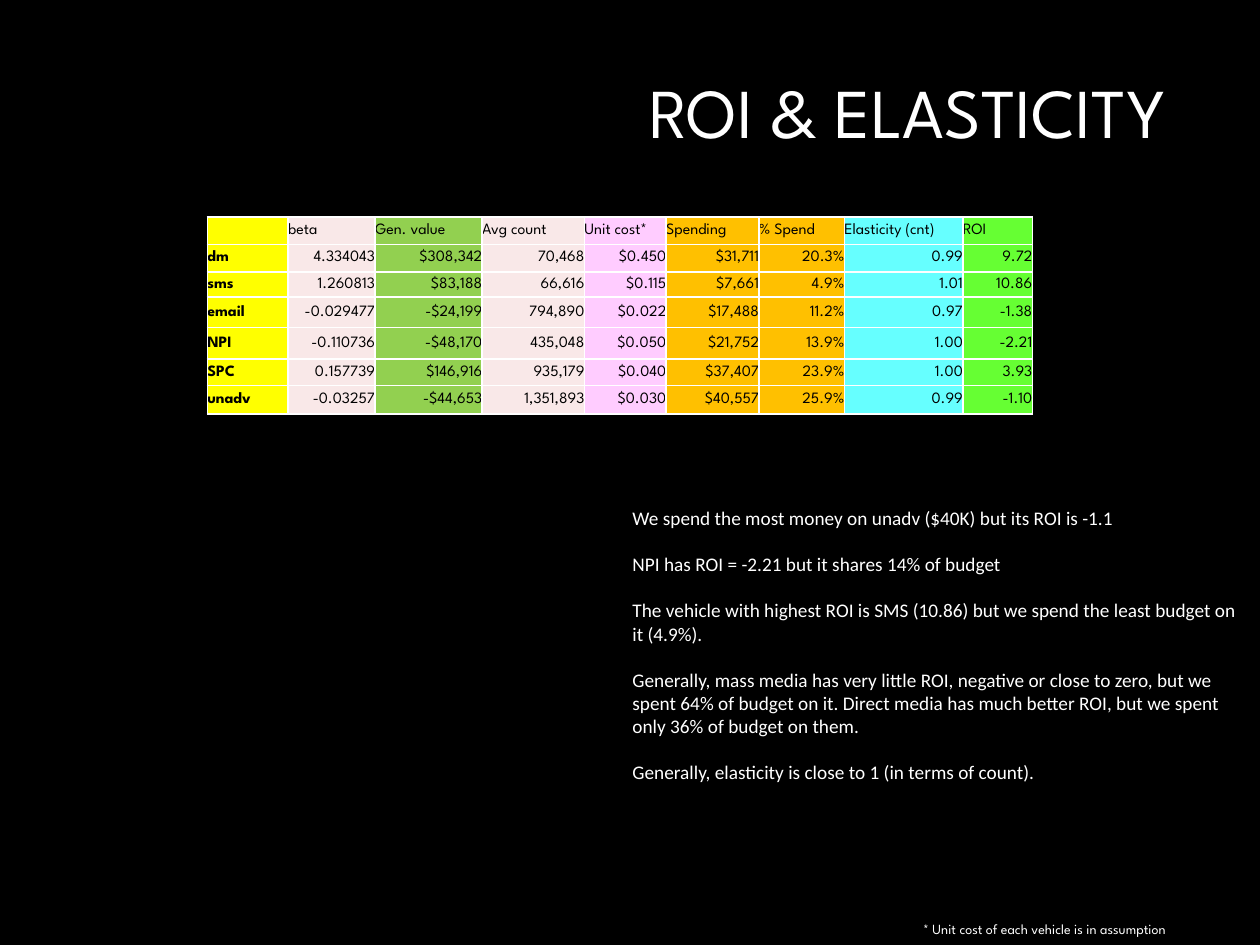
from lxml.etree import SubElement
from pptx import Presentation
from pptx.dml.color import RGBColor
from pptx.enum.text import MSO_ANCHOR, MSO_AUTO_SIZE, PP_ALIGN
from pptx.oxml.ns import qn
from pptx.util import Cm, Pt

BLACK = RGBColor(0x00, 0x00, 0x00)
WHITE = RGBColor(0xFF, 0xFF, 0xFF)
YELLOW = RGBColor(0xFF, 0xFF, 0x00)
BLUSH = RGBColor(0xF9, 0xE8, 0xE8)
GREEN = RGBColor(0x92, 0xD0, 0x50)
PINK = RGBColor(0xFF, 0xCC, 0xFF)
AMBER = RGBColor(0xFF, 0xC0, 0x00)
CYAN = RGBColor(0x66, 0xFF, 0xFF)
LIME = RGBColor(0x66, 0xFF, 0x33)

HEADING_FONT = "League Spartan"
BODY_FONT = "Calibri"

# Heading, width in cm and fill of each column
COLUMNS = [
    ("", 1.63, YELLOW),
    ("beta", 1.75, BLUSH),
    ("Gen. value", 2.16, GREEN),
    ("Avg count", 2.06, BLUSH),
    ("Unit cost*", 1.65, PINK),
    ("Spending", 1.87, AMBER),
    ("% Spend", 1.72, AMBER),
    ("Elasticity (cnt)", 2.39, CYAN),
    ("ROI", 1.4, LIME),
]
ROW_HEIGHTS = [0.56, 0.55, 0.51, 0.61, 0.64, 0.53, 0.58]
VEHICLES = [
    ("dm", "4.334043", "$308,342", "70,468", "$0.450", "$31,711", "20.3%", "0.99", "9.72"),
    ("sms", "1.260813", "$83,188", "66,616", "$0.115", "$7,661", "4.9%", "1.01", "10.86"),
    ("email", "-0.029477", "-$24,199", "794,890", "$0.022", "$17,488", "11.2%", "0.97", "-1.38"),
    ("NPI", "-0.110736", "-$48,170", "435,048", "$0.050", "$21,752", "13.9%", "1.00", "-2.21"),
    ("SPC", "0.157739", "$146,916", "935,179", "$0.040", "$37,407", "23.9%", "1.00", "3.93"),
    ("unadv", "-0.03257", "-$44,653", "1,351,893", "$0.030", "$40,557", "25.9%", "0.99", "-1.10"),
]
FINDINGS = [
    "We spend the most money on unadv ($40K) but its ROI is -1.1",
    "NPI has ROI = -2.21 but it shares 14% of budget",
    "The vehicle with highest ROI is SMS (10.86) but we spend the least budget on it (4.9%).",
    "Generally, mass media has very little ROI, negative or close to zero, but we spent 64% "
    "of budget on it. Direct media has much better ROI, but we spent only 36% of budget on them.",
    "Generally, elasticity is close to 1 (in terms of count).",
]


def set_font(paragraph, name, size, color, bold=False):
    font = paragraph.font
    font.name, font.size, font.bold = name, Pt(size), bold
    font.color.rgb = color


def set_title(slide, text):
    title = slide.shapes.title
    title.left, title.top, title.width, title.height = Cm(6.05), Cm(0.18), Cm(17.7), Cm(4.32)
    title.text_frame.text = text
    title.text_frame.vertical_anchor = MSO_ANCHOR.MIDDLE
    paragraph = title.text_frame.paragraphs[0]
    paragraph.alignment = PP_ALIGN.RIGHT
    paragraph.line_spacing = 0.9
    set_font(paragraph, HEADING_FONT, 40, WHITE)


def add_text(slide, box, lines, font_name, size, wrap=True, gap=0):
    frame = slide.shapes.add_textbox(*map(Cm, box)).text_frame
    frame.word_wrap = wrap
    frame.auto_size = MSO_AUTO_SIZE.SHAPE_TO_FIT_TEXT
    for index, line in enumerate(lines):
        paragraph = frame.add_paragraph() if index else frame.paragraphs[0]
        paragraph.text = line
        paragraph.space_before = Pt(gap if index else 0)
        set_font(paragraph, font_name, size, WHITE)


def add_borders(cell, color, width):
    properties = cell._tc.get_or_add_tcPr()
    for side in ("a:lnL", "a:lnR", "a:lnT", "a:lnB"):
        line = SubElement(properties, qn(side), w=str(Pt(width)))
        fill = SubElement(line, qn("a:solidFill"))
        SubElement(fill, qn("a:srgbClr"), val=str(color))


def fill_cell(cell, text, color, alignment, bold):
    add_borders(cell, WHITE, 1)
    cell.fill.solid()
    cell.fill.fore_color.rgb = color
    cell.margin_left = cell.margin_right = cell.margin_top = cell.margin_bottom = 0
    cell.vertical_anchor = MSO_ANCHOR.MIDDLE
    paragraph = cell.text_frame.paragraphs[0]
    paragraph.alignment = alignment
    set_font(paragraph, HEADING_FONT, 9, BLACK, bold)
    if text:
        paragraph.text = text
    else:  # keeps the empty cell from stretching its row
        SubElement(paragraph._p, qn("a:endParaRPr"), sz="900")


def add_roi_table(slide):
    rows = [[heading for heading, _, _ in COLUMNS], *VEHICLES]
    widths = [width for _, width, _ in COLUMNS]
    table = slide.shapes.add_table(len(rows), len(COLUMNS), Cm(4.18), Cm(4.37),
                                   Cm(sum(widths)), Cm(sum(ROW_HEIGHTS))).table
    table.first_row = table.horz_banding = False
    for column, width in zip(table.columns, widths):
        column.width = Cm(width)
    for row, height in zip(table.rows, ROW_HEIGHTS):
        row.height = Cm(height)
    for r, values in enumerate(rows):
        for c, (value, (_, _, color)) in enumerate(zip(values, COLUMNS)):
            is_number = r > 0 and c > 0
            alignment = PP_ALIGN.RIGHT if is_number else PP_ALIGN.LEFT
            fill_cell(table.cell(r, c), value, color, alignment, bold=r > 0 and c == 0)


def main():
    presentation = Presentation()
    presentation.slide_width, presentation.slide_height = Cm(25.4), Cm(19.05)
    slide = presentation.slides.add_slide(presentation.slide_layouts[5])
    slide.background.fill.solid()
    slide.background.fill.fore_color.rgb = BLACK

    set_title(slide, "ROI & ELASTICITY")
    # Findings, one blank line's height apart
    add_text(slide, (12.5, 10.08, 12.7, 6.38), FINDINGS, BODY_FONT, 11, gap=13.2)
    add_roi_table(slide)
    # Footnote
    add_text(slide, (18.36, 18.44, 6.45, 0.6),
             ["* Unit cost of each vehicle is in assumption"], HEADING_FONT, 8, wrap=False)

    presentation.save("out.pptx")


if __name__ == "__main__":
    main()
